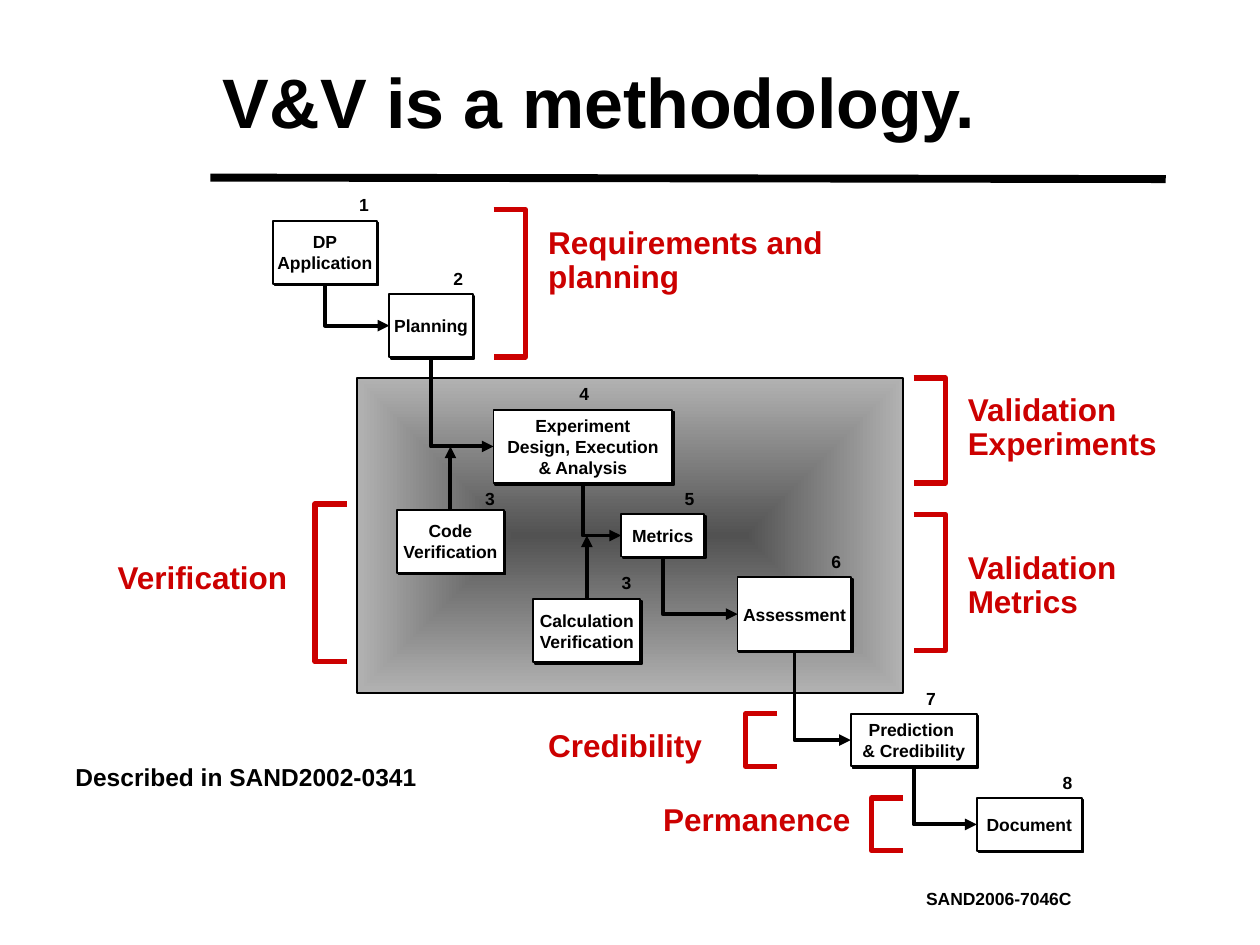
"""Build a slide showing verification and validation as a staged methodology."""
from dataclasses import dataclass

from lxml import etree
from pptx import Presentation
from pptx.dml.color import RGBColor
from pptx.enum.shapes import MSO_CONNECTOR, MSO_SHAPE
from pptx.enum.text import MSO_ANCHOR, PP_ALIGN
from pptx.oxml import parse_xml
from pptx.oxml.ns import nsdecls, qn
from pptx.shapes.autoshape import Shape
from pptx.shapes.connector import Connector
from pptx.slide import Slide
from pptx.text.text import TextFrame
from pptx.util import Cm, Pt

RECTANGLE = MSO_SHAPE.RECTANGLE
STRAIGHT, ELBOW = MSO_CONNECTOR.STRAIGHT, MSO_CONNECTOR.ELBOW
LEFT, CENTER = PP_ALIGN.LEFT, PP_ALIGN.CENTER
TOP, MIDDLE = MSO_ANCHOR.TOP, MSO_ANCHOR.MIDDLE
BLACK = RGBColor(0x00, 0x00, 0x00)
WHITE = RGBColor(0xFF, 0xFF, 0xFF)
RED = RGBColor(0xCC, 0x00, 0x00)
DARK_GRAY = RGBColor(0x52, 0x52, 0x52)
LIGHT_GRAY = RGBColor(0xB2, 0xB2, 0xB2)
FONT = "Arial"
NUMBER_SIDE = 0.64
BRACKET_DEPTH = 0.64
TOP_SIDE, LEFT_SIDE, BOTTOM_SIDE = 0, 1, 2


@dataclass(frozen=True)
class Step:
    text: str
    left: float
    top: float
    width: float
    height: float
    number: str
    number_left: float
    number_top: float


@dataclass(frozen=True)
class Phase:
    text: str
    left: float
    top: float
    width: float
    height: float
    bracket_left: float
    bracket_top: float
    bracket_height: float
    opens_left: bool


STEPS = {
    "application": Step("DP\nApplication", 5.5, 4.45, 2.1, 1.27, "1", 6.99, 3.81),
    "planning": Step("Planning", 7.85, 5.93, 1.68, 1.27, "2", 8.89, 5.29),
    "code": Step("Code\nVerification", 8, 10.28, 2.16, 1.27, "3", 9.53, 9.74),
    "experiment": Step("Experiment\nDesign, Execution\n& Analysis",
                       9.95, 8.26, 3.6, 1.48, "4", 11.43, 7.62),
    "calculation": Step("Calculation\nVerification",
                        10.75, 12.08, 2.16, 1.27, "3", 12.28, 11.43),
    "metrics": Step("Metrics", 12.52, 10.37, 1.68, 0.85, "5", 13.55, 9.74),
    "assessment": Step("Assessment", 14.87, 11.64, 2.29, 1.48, "6", 16.51, 11.01),
    "prediction": Step("Prediction \n& Credibility",
                       17.15, 14.39, 2.54, 1.06, "7", 18.42, 13.76),
    "document": Step("Document", 19.69, 16.09, 2.12, 1.06, "8", 21.17, 15.45),
}
FLOW = ["application", "planning", "experiment", "metrics",
        "assessment", "prediction", "document"]
FEEDS = [("code", "experiment"), ("calculation", "metrics")]
PHASES = [
    Phase("Requirements and planning", 10.8, 4.45, 6.14, 1.7, 9.95, 4.23, 2.97, True),
    Phase("Verification", 2.12, 11.22, 4.02, 1.06, 6.35, 10.16, 3.18, False),
    Phase("Validation Metrics", 19.26, 11, 4.23, 1.7, 18.42, 10.37, 2.75, True),
    Phase("Credibility", 10.8, 14.6, 4.02, 0.85, 15.03, 14.39, 1.06, False),
    Phase("Permanence", 13.12, 16.09, 4.45, 0.85, 17.57, 16.09, 1.06, False),
    Phase("Validation Experiments", 19.26, 7.83, 4.66, 1.7, 18.42, 7.62, 2.12, True),
]


def write(frame: TextFrame, text: str, *, size: float, color: RGBColor = BLACK,
          align: PP_ALIGN = LEFT, anchor: MSO_ANCHOR = TOP,
          spacing: float = 1.0, wrap: bool = True) -> None:
    frame.word_wrap = wrap
    frame.vertical_anchor = anchor
    frame.text = text
    for paragraph in frame.paragraphs:
        paragraph.alignment = align
        paragraph.line_spacing = spacing
        paragraph.font.name = FONT
        paragraph.font.size = Pt(size)
        paragraph.font.bold = True
        paragraph.font.color.rgb = color


def add_label(slide: Slide, text: str, left: float, top: float,
              width: float, height: float, **text_format) -> None:
    box = slide.shapes.add_textbox(Cm(left), Cm(top), Cm(width), Cm(height))
    write(box.text_frame, text, **text_format)


def style_connector(connector: Connector, width: float, arrow: bool = True) -> None:
    connector.line.color.rgb = BLACK
    connector.line.width = Pt(width)
    if arrow:
        line = connector.line._get_or_add_ln()
        etree.SubElement(line, qn("a:tailEnd"), type="triangle")
    etree.SubElement(connector.element.spPr, qn("a:effectLst"))


def add_backdrop(slide: Slide) -> None:
    backdrop = slide.shapes.add_shape(RECTANGLE, Cm(7.2), Cm(7.62), Cm(11), Cm(6.35))
    backdrop.shadow.inherit = False
    backdrop.line.color.rgb = BLACK
    backdrop.line.width = Pt(1)
    backdrop.fill.gradient()
    for stop, color in zip(backdrop.fill.gradient_stops, (DARK_GRAY, LIGHT_GRAY)):
        stop.color.rgb = color
    gradient = backdrop.element.spPr.find(qn("a:gradFill"))
    gradient.replace(gradient.find(qn("a:lin")), parse_xml(
        f'<a:path {nsdecls("a")} path="rect">'
        '<a:fillToRect l="50000" t="50000" r="50000" b="50000"/></a:path>'))


def add_step(slide: Slide, step: Step) -> Shape:
    box = slide.shapes.add_shape(RECTANGLE, Cm(step.left), Cm(step.top),
                                 Cm(step.width), Cm(step.height))
    box.fill.solid()
    box.fill.fore_color.rgb = WHITE
    box.line.color.rgb = BLACK
    box.line.width = Pt(1)
    box.shadow.inherit = False
    box.element.spPr.find(qn("a:effectLst")).append(parse_xml(
        f'<a:outerShdw {nsdecls("a")} blurRad="0" dist="17780" dir="2700000" '
        'algn="ctr" rotWithShape="0"><a:srgbClr val="000000"/></a:outerShdw>'))
    write(box.text_frame, step.text, size=10, align=CENTER, anchor=MIDDLE, wrap=False)
    return box


def add_elbow(slide: Slide, source: Shape, target: Shape) -> None:
    start_x, start_y = source.left + source.width // 2, source.top + source.height
    end_x, end_y = target.left, target.top + target.height // 2
    across, down = end_x - start_x, end_y - start_y
    connector = slide.shapes.add_connector(ELBOW, start_x, start_y, end_x, end_y)
    connector.begin_connect(source, BOTTOM_SIDE)
    connector.end_connect(target, LEFT_SIDE)
    properties = connector.element.spPr
    properties.find(qn("a:prstGeom")).set("prst", "bentConnector2")
    properties.find(qn("a:xfrm")).set("flipH", "1")
    connector.rotation = 270
    connector.left = (start_x + end_x - down) // 2
    connector.top = (start_y + end_y - across) // 2
    connector.width, connector.height = down, across
    style_connector(connector, 2.25)


def add_feed(slide: Slide, source: Shape, target: Shape) -> None:
    x = source.left + source.width // 2
    end_y = target.top + target.height // 2
    connector = slide.shapes.add_connector(STRAIGHT, x, source.top, x, end_y)
    connector.begin_connect(source, TOP_SIDE)
    style_connector(connector, 2.25)


def add_phase(slide: Slide, phase: Phase) -> None:
    add_label(slide, phase.text, phase.left, phase.top, phase.width, phase.height,
              size=18, color=RED, spacing=0.9)
    tips, spine = Cm(phase.bracket_left), Cm(phase.bracket_left + BRACKET_DEPTH)
    if not phase.opens_left:
        tips, spine = spine, tips
    top, bottom = Cm(phase.bracket_top), Cm(phase.bracket_top + phase.bracket_height)
    builder = slide.shapes.build_freeform(tips, top)
    builder.add_line_segments([(spine, top), (spine, bottom), (tips, bottom)], close=False)
    bracket = builder.convert_to_shape()
    bracket.shadow.inherit = False
    bracket.fill.background()
    bracket.line.color.rgb = RED
    bracket.line.width = Pt(3)


def main() -> None:
    presentation = Presentation()
    presentation.slide_width, presentation.slide_height = Cm(25.4), Cm(19.05)
    slide = presentation.slides.add_slide(presentation.slide_layouts[5])
    title = slide.shapes.title
    title.left, title.top, title.width, title.height = Cm(4.24), Cm(0.43), Cm(17.58), Cm(3.18)
    write(title.text_frame, "V&V is a methodology.", size=40, anchor=MIDDLE)
    rule = slide.shapes.add_connector(STRAIGHT, Cm(4.24), Cm(3.58), Cm(23.5), Cm(3.61))
    style_connector(rule, 4.5, arrow=False)
    add_backdrop(slide)
    boxes = {name: add_step(slide, step) for name, step in STEPS.items()}
    for source, target in zip(FLOW, FLOW[1:]):
        add_elbow(slide, boxes[source], boxes[target])
    for source, target in FEEDS:
        add_feed(slide, boxes[source], boxes[target])
    for step in STEPS.values():
        add_label(slide, step.number, step.number_left, step.number_top,
                  NUMBER_SIDE, NUMBER_SIDE, size=10, anchor=MIDDLE)
    for phase in PHASES:
        add_phase(slide, phase)
    add_label(slide, "Described in SAND2002-0341", 1.27, 15.24, 8.26, 0.86, size=14)
    add_label(slide, "SAND2006-7046C", 18.42, 17.78, 3.6, 0.69, size=10)
    presentation.save("out.pptx")


if __name__ == "__main__":
    main()
